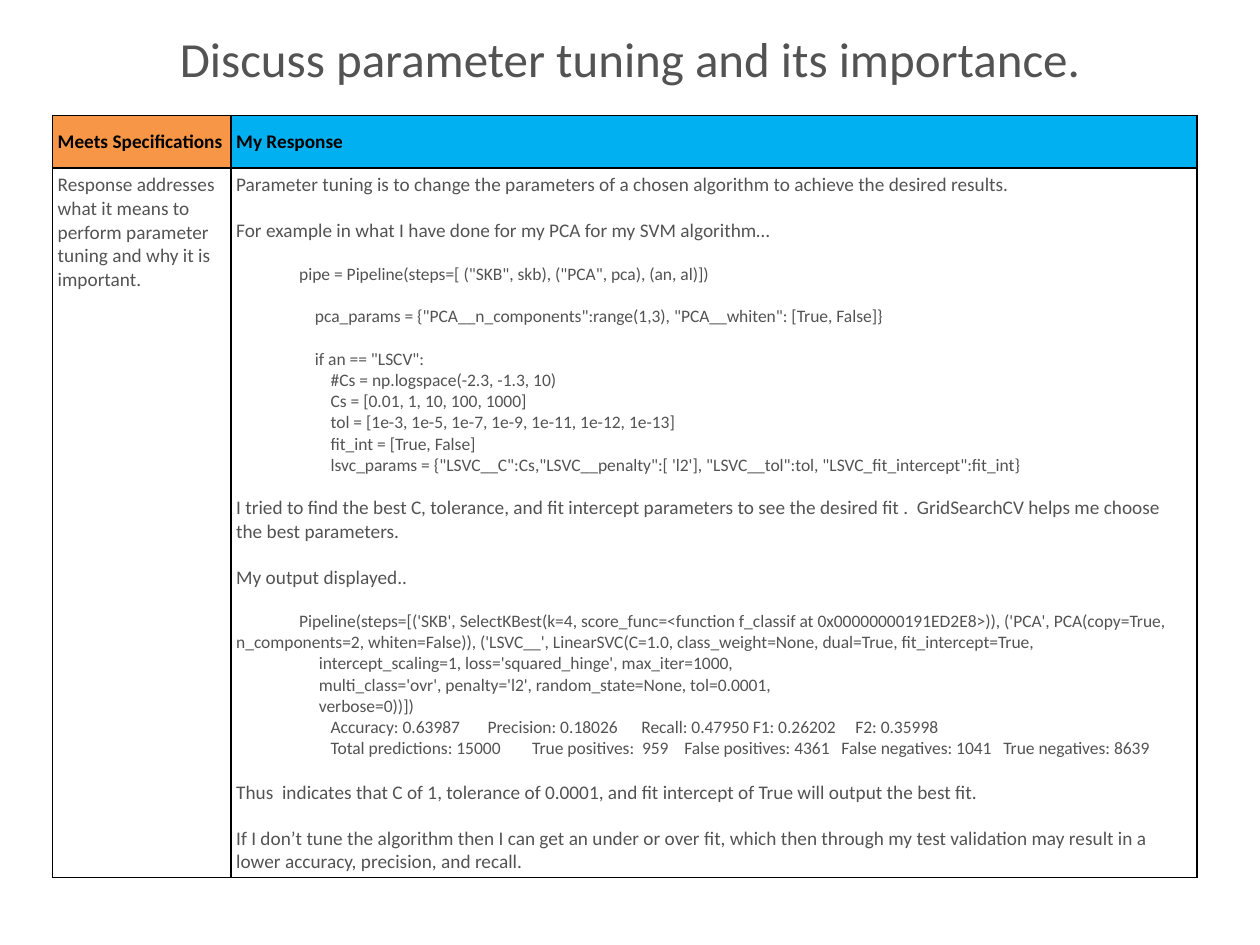
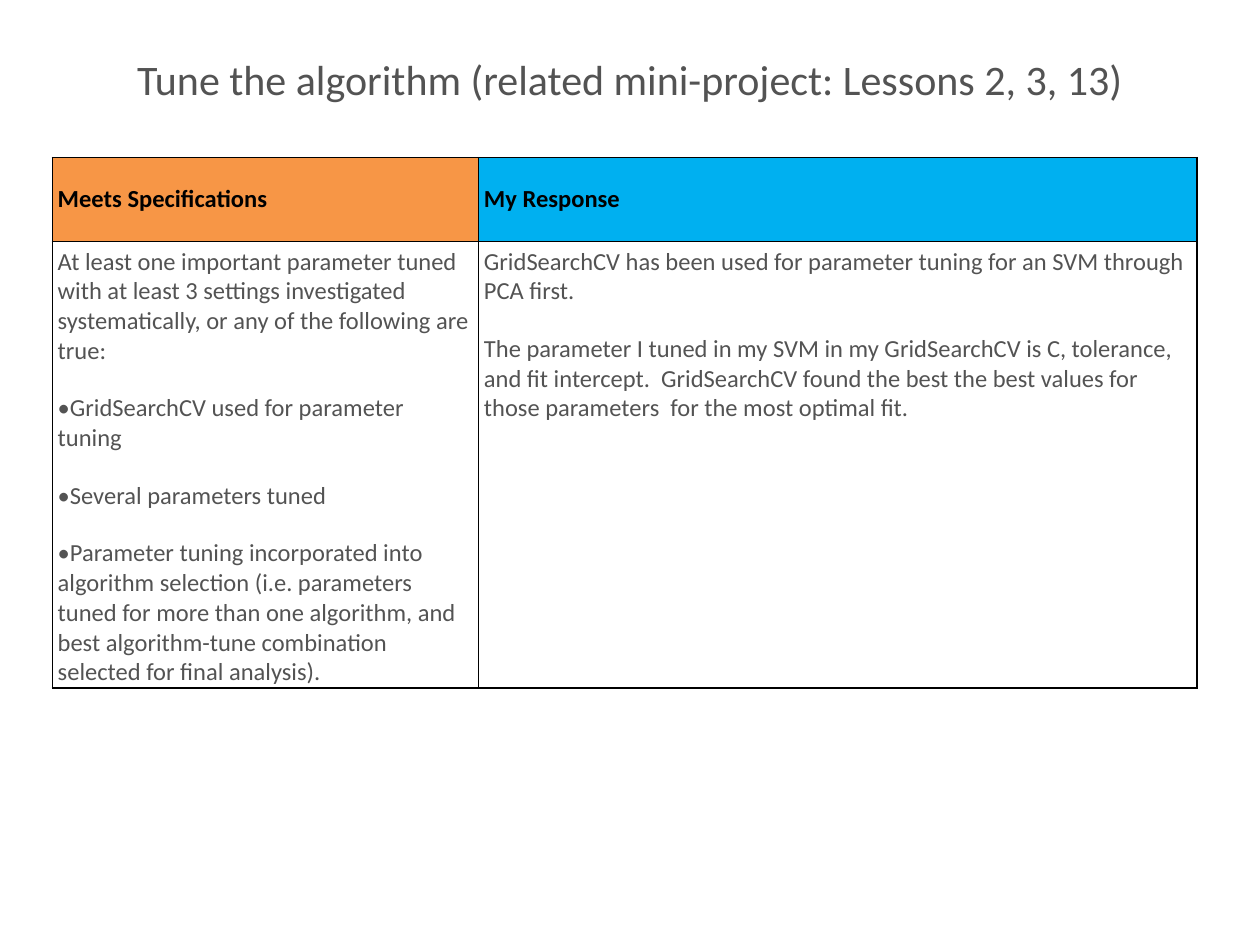
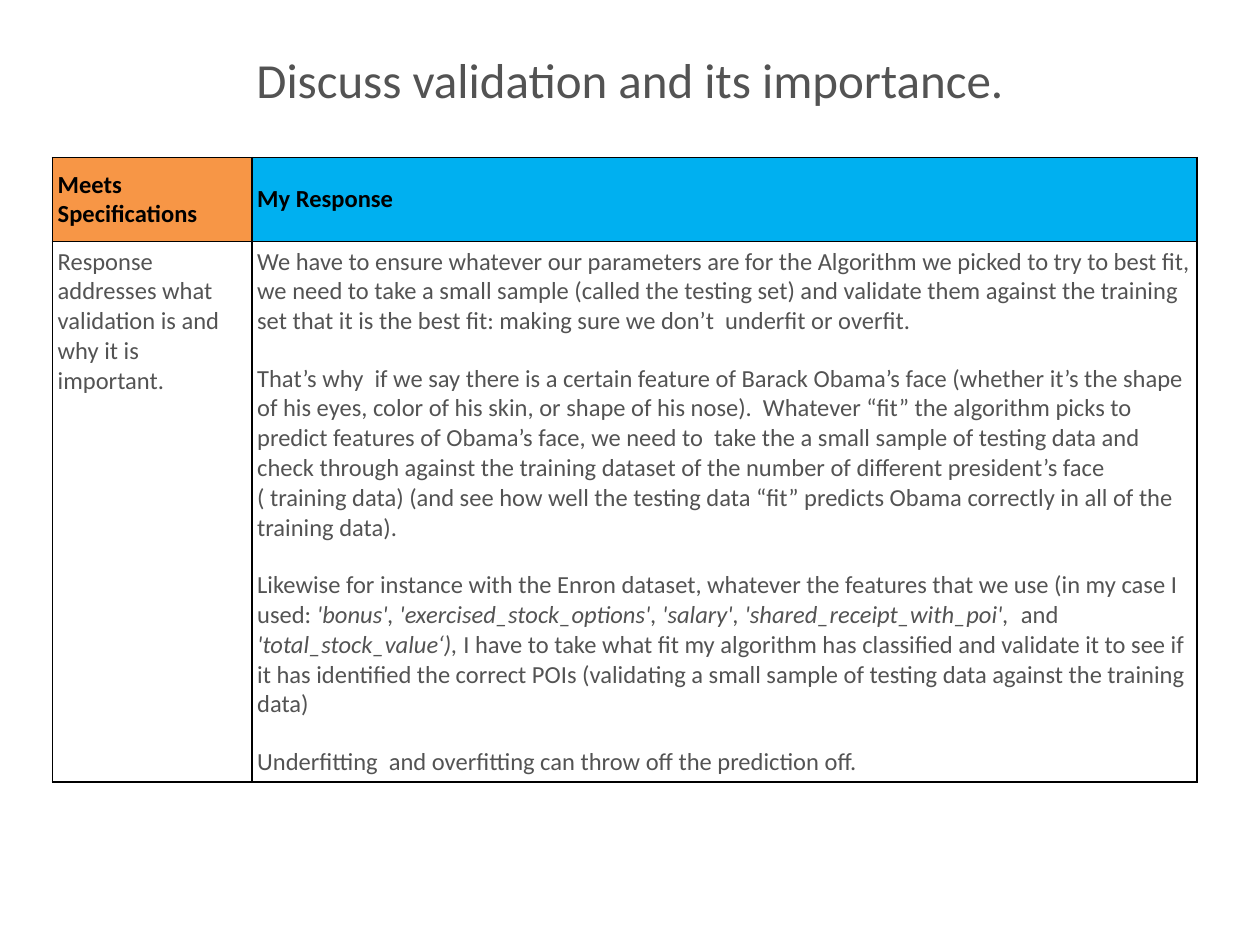
"""Build three review slides, each a title over a two-column response table."""
from dataclasses import dataclass

from lxml import etree
from pptx import Presentation, util as u
from pptx.dml.color import RGBColor
from pptx.enum import text as t
from pptx.oxml.ns import qn

PX = u.Inches(1) // 120
FONT = "Calibri"
GREY = RGBColor(0x53, 0x53, 0x53)
BLACK = RGBColor(0x00, 0x00, 0x00)
ORANGE = RGBColor(0xF7, 0x96, 0x46)
BLUE = RGBColor(0x00, 0xB0, 0xF0)
HEADS = (("Meets Specifications", ORANGE), ("My Response", BLUE))
LEFT, WIDTH = 50, 1090
CODE = 10
CODE_DENT, LOG_DENT = 60, 90
SPACE = 2.26


@dataclass(frozen=True)
class Run:
    text: str
    slant: bool = False
    track: float = 0


@dataclass(frozen=True)
class Para:
    runs: tuple[Run, ...]
    size: float
    gap: float = 0
    dent: int = 0
    dot: bool = False


@dataclass(frozen=True)
class Page:
    title: str
    size: int
    top: int
    head: int
    body: int
    split: int
    font: int
    specs: tuple[Para, ...]
    reply: tuple[Para, ...]


def px(count: int) -> u.Emu:
    return u.Emu(count * PX)


def say(words: str, size: float, gap: float = 0, dot: bool = False) -> Para:
    return Para((Run(words),), size, gap, dot=dot)


def code(words: str, gap: float = 0) -> Para:
    return Para((Run(words),), CODE, gap, CODE_DENT)


def log(*parts: str | int) -> Para:
    runs = tuple(Run(" ", track=(part - 1) * SPACE) if isinstance(part, int) else Run(part)
                 for part in parts)
    return Para(runs, CODE, 0, LOG_DENT)


def write(frame, paras: tuple[Para, ...], color: RGBColor, bold: bool = False,
          align: t.PP_ALIGN = t.PP_ALIGN.LEFT) -> None:
    for i, item in enumerate(paras):
        para = frame.paragraphs[0] if i == 0 else frame.add_paragraph()
        para.alignment = align
        if item.gap:
            para.space_before = u.Pt(item.gap)
        props = para._p.get_or_add_pPr()
        props.set("marL", "0")
        props.set("indent", str(px(item.dent)))
        if item.dot:
            etree.SubElement(props, qn("a:buFont"), typeface=FONT)
            etree.SubElement(props, qn("a:buChar"), char="•")
        for part in item.runs:
            run = para.add_run()
            run.text = part.text
            font = run.font
            font.name, font.size = FONT, u.Pt(item.size)
            font.bold, font.italic = bold, part.slant
            font.color.rgb = color
            if part.track:
                run._r.get_or_add_rPr().set("spc", str(round(part.track * 100)))


def frame_cell(cell) -> None:
    props = cell._tc.get_or_add_tcPr()
    for side in ("lnL", "lnR", "lnT", "lnB"):
        line = etree.SubElement(props, qn(f"a:{side}"), w=str(u.Pt(1)))
        fill = etree.SubElement(line, qn("a:solidFill"))
        etree.SubElement(fill, qn("a:srgbClr"), val=str(BLACK))
    cell.margin_left = cell.margin_right = px(5)
    cell.margin_top = cell.margin_bottom = px(5)


def add_title(slide, page: Page) -> None:
    box = slide.shapes.add_textbox(px(60), px(0), px(1080), px(page.top))
    frame = box.text_frame
    frame.word_wrap = True
    frame.vertical_anchor = t.MSO_ANCHOR.MIDDLE
    frame.margin_left = frame.margin_right = px(6)
    frame.margin_top = frame.margin_bottom = px(6)
    write(frame, (say(page.title, page.size),), GREY, align=t.PP_ALIGN.CENTER)


def add_grid(slide, page: Page) -> None:
    grid = slide.shapes.add_table(2, 2, px(LEFT), px(page.top), px(WIDTH),
                                  px(page.head + page.body)).table
    grid.first_row = grid.horz_banding = False
    for col, wide in zip(grid.columns, (page.split, WIDTH - page.split)):
        col.width = px(wide)
    for row, high in zip(grid.rows, (page.head, page.body)):
        row.height = px(high)
    for i, ((label, color), paras) in enumerate(zip(HEADS, (page.specs, page.reply))):
        head, body = grid.cell(0, i), grid.cell(1, i)
        for cell in (head, body):
            frame_cell(cell)
        head.fill.solid()
        head.fill.fore_color.rgb = color
        head.vertical_anchor = t.MSO_ANCHOR.MIDDLE
        write(head.text_frame, (say(label, page.font),), BLACK, bold=True)
        body.fill.background()
        body.vertical_anchor = t.MSO_ANCHOR.TOP
        write(body.text_frame, paras, GREY)


PAGES = (
    Page(
        "Discuss parameter tuning and its importance.", 28, 110, 50, 676, 170, 11,
        (say("Response addresses what it means to perform parameter tuning and why it is important.", 11),),
        (
            say("Parameter tuning is to change the parameters of a chosen algorithm to achieve the desired results.", 11),
            say("For example in what I have done for my PCA for my SVM algorithm…", 11, 12.6),
            code('pipe = Pipeline(steps=[ ("SKB", skb), ("PCA", pca), (an, al)])', 12.2),
            code('    pca_params = {"PCA__n_components":range(1,3), "PCA__whiten": [True, False]}', 12),
            code('    if an == "LSCV":', 12),
            code("        #Cs = np.logspace(-2.3, -1.3, 10)"),
            code("        Cs = [0.01, 1, 10, 100, 1000]"),
            code("        tol = [1e-3, 1e-5, 1e-7, 1e-9, 1e-11, 1e-12, 1e-13]"),
            code("        fit_int = [True, False]"),
            code("        lsvc_params = {\"LSVC__C\":Cs,\"LSVC__penalty\":[ 'l2'], "
                 "\"LSVC__tol\":tol, \"LSVC_fit_intercept\":fit_int}"),
            say("I tried to find the best C, tolerance, and fit intercept parameters to see the desired fit .  "
                "GridSearchCV helps me choose the best parameters.", 11, 11.5),
            say("My output displayed..", 11, 12.6),
            code("Pipeline(steps=[('SKB', SelectKBest(k=4, score_func=<function f_classif at "
                 "0x00000000191ED2E8>)), ('PCA', PCA(copy=True, n_components=2, whiten=False)), "
                 "('LSVC__', LinearSVC(C=1.0, class_weight=None, dual=True, fit_intercept=True,", 12.2),
            code("     intercept_scaling=1, loss='squared_hinge', max_iter=1000,"),
            code("     multi_class='ovr', penalty='l2', random_state=None, tol=0.0001,"),
            code("     verbose=0))])"),
            log("Accuracy: 0.63987", 7, "Precision: 0.18026", 6,
                "Recall: 0.47950 F1: 0.26202", 5, "F2: 0.35998"),
            log("Total predictions: 15000", 8, "True positives:", 2, "959", 4,
                "False positives: 4361", 3, "False negatives: 1041", 3, "True negatives: 8639"),
            say("Thus  indicates that C of 1, tolerance of 0.0001, and fit intercept of True "
                "will output the best fit.", 11, 12.2),
            say("If I don’t tune the algorithm then I can get an under or over fit, which then through "
                "my test validation may result in a lower accuracy, precision, and recall.", 11, 12.6),
        ),
    ),
    Page(
        "Tune the algorithm (related mini-project: Lessons 2, 3, 13)", 24, 150, 80, 402, 406, 14,
        (
            say("At least one important parameter tuned with at least 3 settings investigated "
                "systematically, or any of the following are true:", 14),
            say("GridSearchCV used for parameter tuning", 14, 15.8, True),
            say("Several parameters tuned", 14, 15.8, True),
            say("Parameter tuning incorporated into algorithm selection (i.e. parameters tuned for more "
                "than one algorithm, and best algorithm-tune combination selected for final analysis).",
                14, 15.8, True),
        ),
        (
            say("GridSearchCV has been used for parameter tuning for an SVM through PCA first.", 14),
            say("The parameter I tuned in my SVM in my GridSearchCV is C, tolerance,  and fit intercept.  "
                "GridSearchCV found the best the best values for those parameters  for the most optimal fit.",
                14, 15.8),
        ),
    ),
    Page(
        "Discuss validation and its importance.", 28, 150, 80, 515, 190, 14,
        (say("Response addresses what validation is and why it is important.", 14),),
        (
            say("We have to ensure whatever our parameters are for the Algorithm we picked to try to best "
                "fit, we need to take a small sample (called the testing set) and validate them against the "
                "training set that it is the best fit: making sure we don’t  underfit or overfit.", 14),
            say("That’s why  if we say there is a certain feature of Barack Obama’s face (whether it’s the "
                "shape of his eyes, color of his skin, or shape of his nose).  Whatever “fit” the algorithm "
                "picks to predict features of Obama’s face, we need to  take the a small sample of testing "
                "data and check through against the training dataset of the number of different president’s "
                "face ( training data) (and see how well the testing data “fit” predicts Obama correctly in "
                "all of the training data).", 14, 15.8),
            Para((
                Run("Likewise for instance with the Enron dataset, whatever the features that we use "
                    "(in my case I used: "),
                Run("'bonus', 'exercised_stock_options', 'salary', 'shared_receipt_with_poi',  ", True),
                Run("and "),
                Run("'total_stock_value‘), ", True),
                Run("I have to take what fit my algorithm has classified and validate it to see if it has "
                    "identified the correct POIs (validating a small sample of testing data against the "
                    "training data)"),
            ), 14, 15.8),
            say("Underfitting  and overfitting can throw off the prediction off.", 14, 15.8),
        ),
    ),
)


def main() -> None:
    deck = Presentation()
    deck.slide_width, deck.slide_height = px(1200), px(900)
    for page in PAGES:
        slide = deck.slides.add_slide(deck.slide_layouts[6])
        add_title(slide, page)
        add_grid(slide, page)
    deck.save("out.pptx")


if __name__ == "__main__":
    main()
